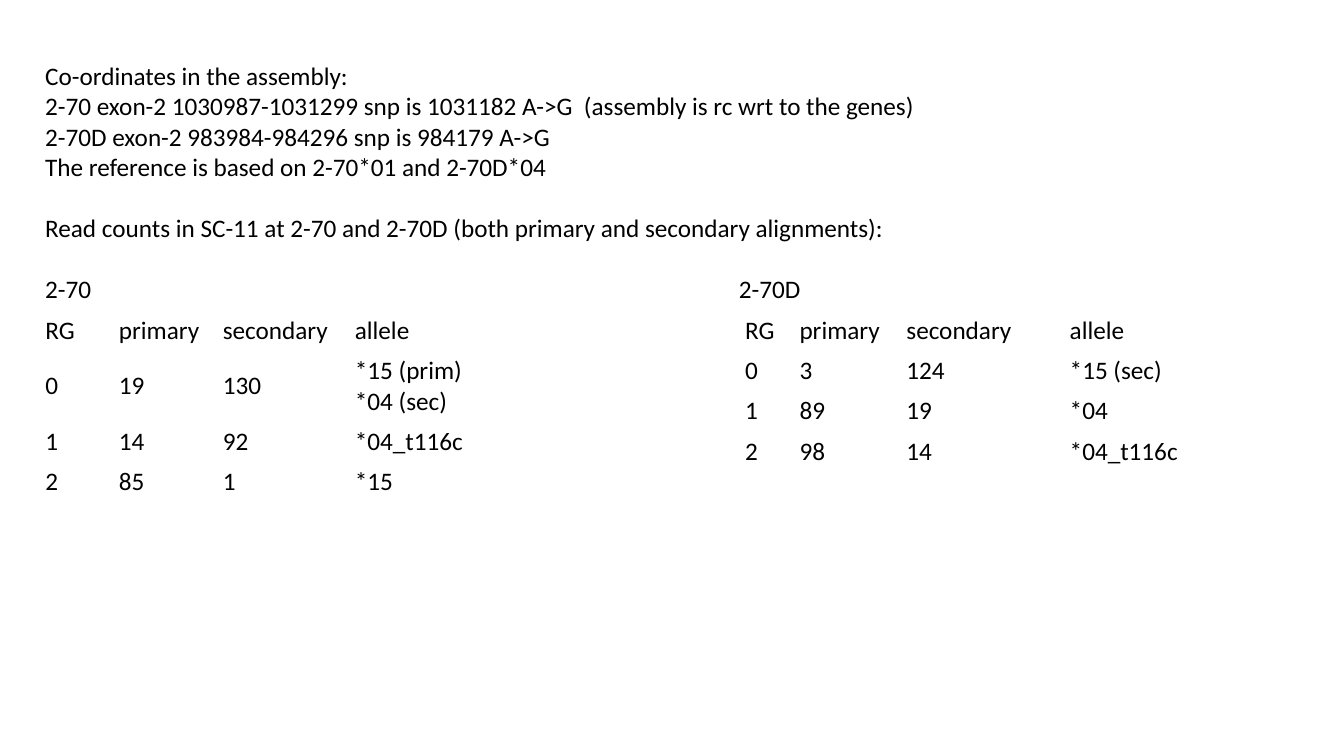
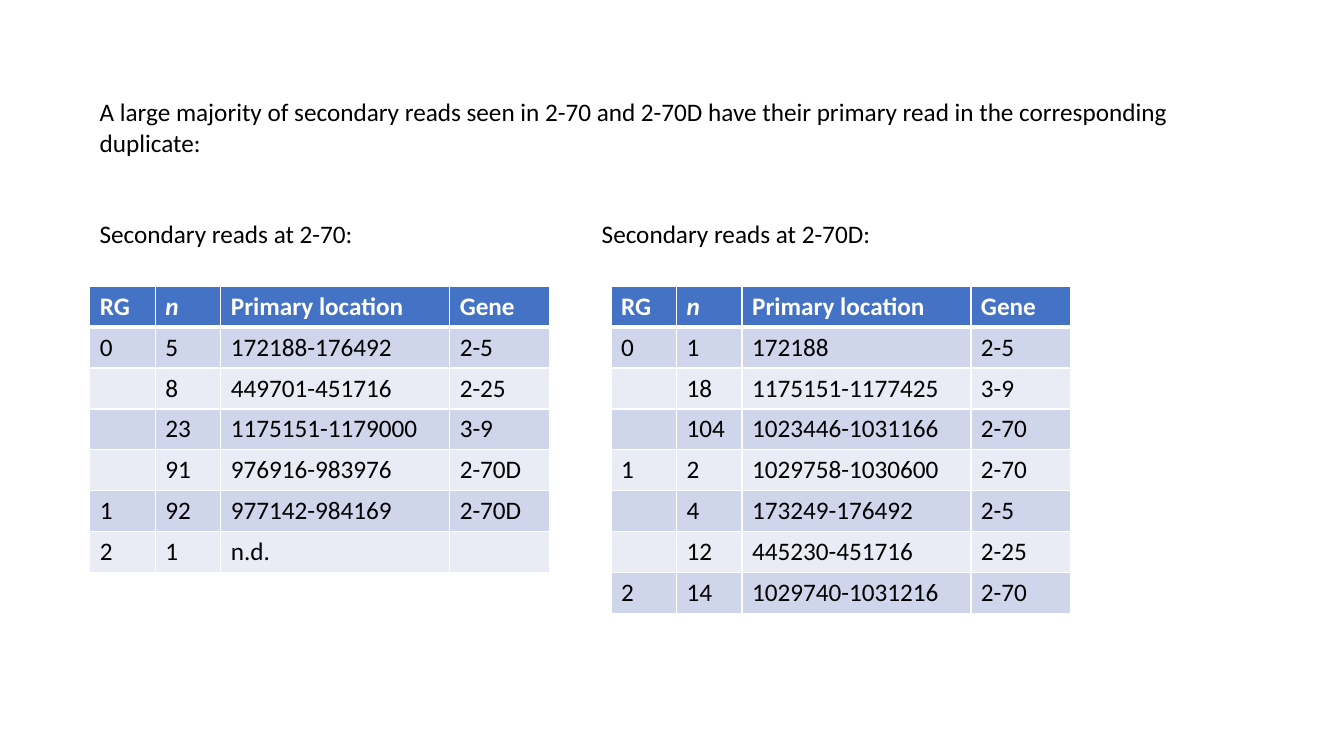
"""Two slides on read counts and primary locations at 2-70 and 2-70D."""
from lxml import etree
from pptx import Presentation
from pptx.dml.color import RGBColor
from pptx.enum.text import MSO_ANCHOR
from pptx.oxml.ns import qn
from pptx.util import Inches, Pt

MIDDLE, TOP = MSO_ANCHOR.MIDDLE, MSO_ANCHOR.TOP
BLACK, WHITE, HEADER = "000000", "FFFFFF", "4472C4"
BANDS = ["E9EBF5", "CFD5EA"]
FONT, SIZE, LINE = "Calibri", Pt(18), Pt(22)
TALL, ROW, DOUBLE_ROW = Pt(29.2), Inches(0.4), Inches(0.7)


def style(p, color=BLACK, bold=False, italic=False):
    for r in p.runs:
        r.font.name, r.font.size = FONT, SIZE
        r.font.bold, r.font.italic = bold, italic
        r.font.color.rgb = RGBColor.from_string(color)


def add_grid(s, left, top, cols, rows, heights):
    width, height = Inches(sum(cols)), sum(heights)
    tbl = s.shapes.add_table(len(rows), len(cols), Inches(left), Inches(top), width, height).table
    tbl.first_row = tbl.horz_banding = False
    for col, w in zip(tbl.columns, cols):
        col.width = Inches(w)
    for row, h in zip(tbl.rows, heights):
        row.height = h
    for i, values in enumerate(rows):
        for j, value in enumerate(values):
            cell = tbl.cell(i, j)
            cell.text = value
            yield i, j, cell


prs = Presentation()
prs.slide_width, prs.slide_height = Inches(13.33), Inches(7.5)

TEXTS = [
    ((0.35, 0.55, 8.93, 2.52), 6.88, [
        ("Co-ordinates in the assembly:", 0),
        ("2-70 exon-2 1030987-1031299 snp is 1031182 A->G  (assembly is rc wrt to the genes)", 0),
        ("2-70D exon-2 983984-984296 snp is 984179 A->G", 0),
        ("The reference is based on 2-70*01 and 2-70D*04", 0),
        ("Read counts in SC-11 at 2-70 and 2-70D (both primary and secondary alignments):", 1),
        ("2-70\t2-70D", 1),
    ]),
    ((0.89, 0.91, 11.16, 1.62), 4.98, [
        ("A large majority of secondary reads seen in 2-70 and 2-70D have their primary read "
         "in the corresponding\vduplicate:", 0),
        ("Secondary reads at 2-70:\tSecondary reads at 2-70D:", 2),
    ]),
]
for box, tab, lines in TEXTS:
    s = prs.slides.add_slide(prs.slide_layouts[6])
    tf = s.shapes.add_textbox(*map(Inches, box)).text_frame
    tf.word_wrap = True
    for i, (text, gap) in enumerate(lines):
        p = tf.add_paragraph() if i else tf.paragraphs[0]
        p.text = text
        p.space_before = gap * LINE
        style(p)
    tabs = etree.SubElement(p._p.get_or_add_pPr(), qn("a:tabLst"))
    etree.SubElement(tabs, qn("a:tab"), pos=str(Inches(tab)), algn="l")

COUNT_HEAD = ["RG", "primary", "secondary", "allele"]
COUNTS = [
    (0.35, [0.73, 1.03, 1.31, 1.4], [
        ["0", "19", "130", "*15 (prim)\v*04 (sec)"],
        ["1", "14", "92", "*04_t116c"],
        ["2", "85", "1", "*15"],
    ]),
    (7.29, [0.54, 1.06, 1.62, 1.62], [
        ["0", "3", "124", "*15 (sec)"],
        ["1", "89", "19", "*04"],
        ["2", "98", "14", "*04_t116c"],
    ]),
]
for left, cols, body in COUNTS:
    rows = [COUNT_HEAD] + body
    heights = [DOUBLE_ROW if "\v" in row[-1] else ROW for row in rows]
    for i, j, cell in add_grid(prs.slides[0], left, 3.08, cols, rows, heights):
        cell.fill.background()
        cell.vertical_anchor = MIDDLE
        cell.margin_top = cell.margin_bottom = Inches(0.04)
        style(cell.text_frame.paragraphs[0])

READ_HEAD = ["RG", "n", "Primary location", "Gene"]
READS = [
    (0.89, [
        ["0", "5", "172188-176492", "2-5"],
        ["", "8", "449701-451716", "2-25"],
        ["", "23", "1175151-1179000", "3-9"],
        ["", "91", "976916-983976", "2-70D"],
        ["1", "92", "977142-984169", "2-70D"],
        ["2", "1", "n.d.", ""],
    ]),
    (6.06, [
        ["0", "1", "172188", "2-5"],
        ["", "18", "1175151-1177425", "3-9"],
        ["", "104", "1023446-1031166", "2-70"],
        ["1", "2", "1029758-1030600", "2-70"],
        ["", "4", "173249-176492", "2-5"],
        ["", "12", "445230-451716", "2-25"],
        ["2", "14", "1029740-1031216", "2-70"],
    ]),
]
for left, body in READS:
    rows = [READ_HEAD] + body
    for i, j, cell in add_grid(prs.slides[1], left, 2.84, [0.65, 0.65, 2.27, 0.99], rows, [TALL] * len(rows)):
        head = i == 0
        for side in "LRTB":
            thick = (i, side) in [(0, "B"), (1, "T")]
            ln = etree.SubElement(cell._tc.get_or_add_tcPr(), qn("a:ln" + side), w=str(Pt(3 if thick else 1)))
            fill = etree.SubElement(ln, qn("a:solidFill"))
            etree.SubElement(fill, qn("a:srgbClr"), val=WHITE)
        cell.fill.solid()
        cell.fill.fore_color.rgb = RGBColor.from_string(HEADER if head else BANDS[i % 2])
        cell.vertical_anchor = TOP
        style(cell.text_frame.paragraphs[0], WHITE if head else BLACK, head, head and j == 1)

prs.save("out.pptx")
